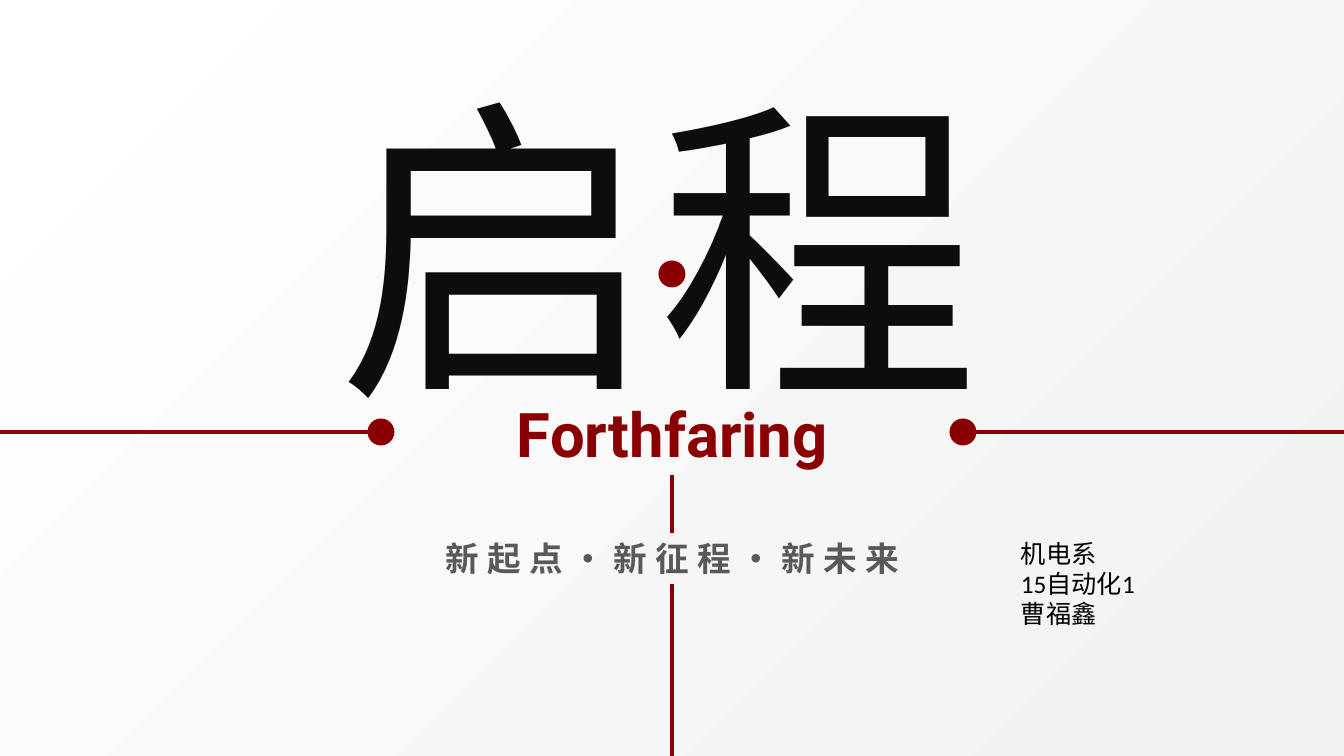
from dataclasses import dataclass

from lxml import etree
from pptx import Presentation
from pptx.dml.color import RGBColor
from pptx.enum.shapes import MSO_CONNECTOR, MSO_SHAPE
from pptx.enum.text import MSO_ANCHOR, MSO_AUTO_SIZE, PP_ALIGN
from pptx.oxml import parse_xml
from pptx.oxml.ns import nsdecls, qn
from pptx.util import Pt

WIDE, HIGH = 1344, 756
PX = 12192000 / WIDE
OVAL, RECT = MSO_SHAPE.OVAL, MSO_SHAPE.RECTANGLE
LINE = MSO_CONNECTOR.STRAIGHT
LEFT, MID = PP_ALIGN.LEFT, PP_ALIGN.CENTER
TOP, HALF = MSO_ANCHOR.TOP, MSO_ANCHOR.MIDDLE
GROW = MSO_AUTO_SIZE.SHAPE_TO_FIT_TEXT


@dataclass(frozen=True)
class Theme:
    red: str = "8A0000"
    ink: str = "0D0D0D"
    gray: str = "595959"
    black: str = "000000"
    shade: str = "F2F2F2"
    white: str = "FFFFFF"
    hero: int = 229
    name: int = 44
    motto: int = 24
    note: int = 18
    rule: float = 3


def px(*vals):
    return [round(v * PX) for v in vals]


def color(code):
    return RGBColor.from_string(code)


class Deck:
    def __init__(self, theme):
        self.theme = theme
        self.file = Presentation()
        self.file.slide_width, self.file.slide_height = px(WIDE, HIGH)
        self.slide = self.file.slides.add_slide(self.file.slide_layouts[6])
        self.shapes = self.slide.shapes

    def back(self):
        """Radial gradient, darkest in the bottom right corner."""
        fill = self.slide.background.fill
        fill.gradient()
        tones = (0.04, self.theme.shade), (1, self.theme.white)
        for stop, (place, tone) in zip(fill.gradient_stops, tones):
            stop.position = place
            stop.color.rgb = color(tone)
        grad = self.slide.element.find(".//" + qn("a:gradFill"))
        grad.replace(grad.find(qn("a:lin")), parse_xml(
            f'<a:path {nsdecls("a")} path="circle">'
            '<a:fillToRect l="100000" t="100000"/></a:path>'))

    def rule(self, x1, y1, x2, y2):
        line = self.shapes.add_connector(LINE, *px(x1, y1, x2, y2))
        line.line.color.rgb = color(self.theme.red)
        line.line.width = Pt(self.theme.rule)
        etree.SubElement(line.element.spPr, qn("a:effectLst"))

    def dot(self, x, y, size=27):
        """Red disc centred on x, y."""
        disc = self.shapes.add_shape(
            OVAL, *px(x - size / 2, y - size / 2, size, size))
        disc.shadow.inherit = False
        disc.fill.solid()
        disc.fill.fore_color.rgb = color(self.theme.red)
        disc.line.fill.background()

    def text(self, box, lines, **style):
        self.label(self.shapes.add_textbox(*px(*box)), lines, **style)

    def band(self, box, lines, **style):
        """Text on a strip that shows the slide background."""
        strip = self.shapes.add_shape(RECT, *px(*box))
        strip.shadow.inherit = False
        strip.line.fill.background()
        strip.element.set("useBgFill", "1")
        self.label(strip, lines, anchor=HALF, **style)

    def label(self, shape, lines, face, size, tone,
              align=MID, anchor=TOP, bold=False, gap=0):
        frame = shape.text_frame
        form = {"word_wrap": True, "auto_size": GROW,
                "vertical_anchor": anchor}
        for key, val in form.items():
            setattr(frame, key, val)
        look = {"name": face, "size": Pt(size), "bold": bold}
        for i, line in enumerate(lines):
            para = frame.paragraphs[0] if i == 0 else frame.add_paragraph()
            para.alignment = align
            run = para.add_run()
            run.text = line
            for key, val in look.items():
                setattr(run.font, key, val)
            run.font.color.rgb = color(tone)
        for props in shape.element.iter(qn("a:rPr")):
            etree.SubElement(props, qn("a:ea")).set("typeface", face)
            if gap:
                props.set("spc", str(gap * 100))


def main():
    theme = Theme()
    deck = Deck(theme)
    mid, axis = WIDE // 2, 432
    deck.back()
    deck.rule(0, axis, WIDE, axis)
    deck.text((268, 47, 780, 398), ["启程"], face="Noto Sans CJK JP",
              size=theme.hero, tone=theme.ink)
    deck.dot(mid, 274)
    deck.band((381, 390, 583, 85), ["Forthfaring"], face="Roboto",
              size=theme.name, tone=theme.red, bold=True)
    for side in (-1, 1):
        deck.dot(mid + side * 291, axis)
    deck.rule(mid, 475, mid, HIGH)
    deck.band((233, 533, 878, 51), ["新起点·新征程·新未来"],
              face="Noto Sans CJK SC", size=theme.motto,
              tone=theme.gray, bold=True, gap=6)
    deck.text((1011, 533, 250, 102), ["机电系", "15自动化1", "曹福鑫"],
              face="Calibri", size=theme.note, tone=theme.black, align=LEFT)
    deck.file.save("out.pptx")


if __name__ == "__main__":
    main()
